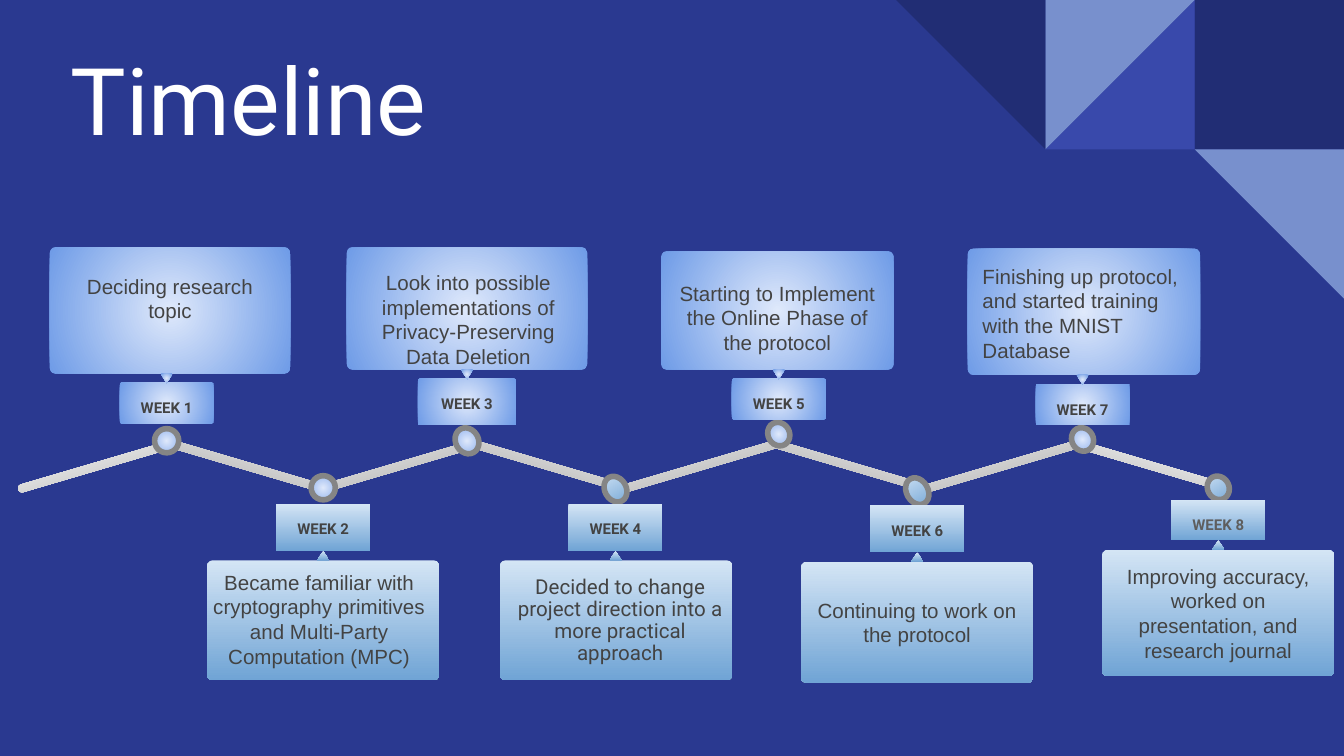
from dataclasses import dataclass

from lxml import etree
from pptx import Presentation
from pptx.dml.color import RGBColor
from pptx.enum.shapes import MSO_SHAPE
from pptx.enum.text import MSO_ANCHOR, PP_ALIGN
from pptx.oxml.ns import qn
from pptx.util import Inches, Pt

RECT, ROUNDED, OVAL = MSO_SHAPE.RECTANGLE, MSO_SHAPE.ROUNDED_RECTANGLE, MSO_SHAPE.OVAL
TRIANGLE, RIGHT_TRIANGLE = MSO_SHAPE.ISOSCELES_TRIANGLE, MSO_SHAPE.RIGHT_TRIANGLE
TOP, MIDDLE, BOTTOM = MSO_ANCHOR.TOP, MSO_ANCHOR.MIDDLE, MSO_ANCHOR.BOTTOM
LEFT, CENTER = PP_ALIGN.LEFT, PP_ALIGN.CENTER

# The slide is a 16:9 grid of square cells, 100 columns by 56.25 rows
COLUMNS, ROWS = 100, 56.25


@dataclass(frozen=True)
class Theme:
    background: str = "2A3990"
    navy: str = "212D74"
    indigo: str = "3949AB"
    periwinkle: str = "7890CD"
    white: str = "FFFFFF"
    ink: str = "434343"
    faded_ink: str = "5E5E5E"
    ring: str = "858585"
    upper: tuple = ("DFE9FB", "6E9BE7")
    lower: tuple = ("D4E5F5", "70A4D5")
    rail: tuple = ("F2F2F2", "A6A6A6")
    rail_end: tuple = ("FFFFFF", "B3B3B3")
    heading_font: str = "Roboto"
    body_font: str = "Arial"
    title_size: float = 50
    body_size: float = 11
    tag_size: float = 8


THEME = Theme()


@dataclass
class Week:
    text: str
    card: tuple
    axis: float
    tag: tuple = (7, 3)
    dot: tuple = (1.6, 1.8)
    dot_gap: float = 0.2
    dot_colors: tuple = THEME.lower
    caption: tuple = None
    text_format: dict = None
    tag_color: str = THEME.ink


# Odd weeks stand above the rail, even weeks hang below it
WEEKS = [
    Week("Deciding research topic", (3.7, 18.4, 17.9, 9.4), 12.4, dot=(1.8, 1.8),
         dot_gap=0.4, text_format={"anchor": TOP, "top_inset": 1.85}),
    Week("Became familiar with cryptography primitives and Multi-Party Computation (MPC)",
         (15.4, 41.7, 17.3, 8.9), 24.05, tag=(7, 3.5), dot=(1.8, 1.8), dot_gap=0.3,
         dot_colors=THEME.upper, caption=(14.4, 41.4, 18.7, 9.4)),
    Week("Look into possible implementations of Privacy-Preserving Data Deletion",
         (25.8, 18.4, 17.9, 9.1), 34.75, tag=(7.3, 3.4), dot=(1.7, 2),
         caption=(25.9, 19.1, 17.9, 9.4)),
    Week("Decided to change project direction into a more practical approach",
         (37.2, 41.7, 17.3, 8.9), 45.8, tag=(7, 3.5), dot=(1.6, 2), dot_gap=0.1,
         caption=(37.5, 41.9, 17.3, 8.8),
         text_format={"font": THEME.heading_font, "line_spacing": 0.9}),
    Week("Starting to Implement the Online Phase of the protocol",
         (49.2, 18.7, 17.3, 8.8), 57.95, text_format={"anchor": BOTTOM}),
    Week("Continuing to work on the protocol", (59.6, 41.8, 17.3, 9), 68.25,
         tag=(7, 3.5), dot=(1.6, 2.1), dot_gap=0, text_format={"anchor": MIDDLE}),
    Week("Finishing up protocol, and started training with the MNIST Database",
         (72, 18.5, 17.3, 9.4), 80.55, text_format={"align": LEFT}),
    Week("Improving accuracy, worked on presentation, and research journal",
         (82, 40.9, 17.3, 9.4), 90.65, dot_gap=0, text_format={"anchor": MIDDLE},
         tag_color=THEME.faded_ink),
]


def cells(*counts):
    return [Inches(count / 10) for count in counts]


def add_text(shape, text, font=THEME.body_font, size=THEME.body_size, color=THEME.ink,
             bold=False, align=CENTER, anchor=TOP, top_inset=1, line_spacing=None,
             space_after=None):
    frame = shape.text_frame
    frame.word_wrap = True
    frame.vertical_anchor = anchor
    frame.margin_left, frame.margin_top, frame.margin_right, frame.margin_bottom = cells(
        1, top_inset, 1, 1)
    paragraph = frame.paragraphs[0]
    paragraph.alignment = align
    if line_spacing:
        paragraph.line_spacing = line_spacing
    if space_after:
        paragraph.space_after = Pt(space_after)
    run = paragraph.add_run()
    run.text = text
    run.font.name, run.font.size, run.font.bold = font, Pt(size), bold
    run.font.color.rgb = RGBColor.from_string(color)


def paint(fill_format, shape, colors, radial):
    """A single colour fills flat, a pair fills as a gradient."""
    if isinstance(colors, str):
        fill_format.solid()
        fill_format.fore_color.rgb = RGBColor.from_string(colors)
        return
    fill_format.gradient()
    fill_format.gradient_angle = 270
    for stop, color in zip(fill_format.gradient_stops, colors):
        stop.color.rgb = RGBColor.from_string(color)
    if radial:
        gradient = shape.element.spPr.find(qn("a:gradFill"))
        gradient.remove(gradient.find(qn("a:lin")))
        circle = etree.SubElement(gradient, qn("a:path"), path="circle")
        etree.SubElement(circle, qn("a:fillToRect"), l="50000", t="50000", r="50000", b="50000")


def add_part(slide, kind, box, colors, rotation=0, corner=None, ring=None):
    part = slide.shapes.add_shape(kind, *cells(*box))
    part.shadow.inherit = False
    part.rotation = rotation
    if corner is not None:
        part.adjustments[0] = corner
    paint(part.fill, part, colors, radial=colors == THEME.upper)
    if ring:
        part.line.color.rgb = RGBColor.from_string(ring)
        part.line.width = Pt(3)
    else:
        part.line.fill.background()
    return part


def draw_corner(slide, box):
    left, top, width, height = box
    tile_width, tile_height = width / 3, height / 2
    tiles = [  # column, row, kind, colour, rotation
        (2, 0, RECT, THEME.navy, 0),
        (1, 0, RIGHT_TRIANGLE, THEME.indigo, 270),
        (1, 0, RIGHT_TRIANGLE, THEME.periwinkle, 90),
        (0, 0, RIGHT_TRIANGLE, THEME.navy, 180),
        (2, 1, RIGHT_TRIANGLE, THEME.periwinkle, 180),
    ]
    for column, row, kind, color, rotation in tiles:
        tile = (left + column * tile_width, top + row * tile_height, tile_width, tile_height)
        add_part(slide, kind, tile, color, rotation)


def draw_title(slide, box, text):
    title = slide.shapes.title
    title.left, title.top, title.width, title.height = cells(*box)
    add_text(title, text, font=THEME.heading_font, size=THEME.title_size,
             color=THEME.white, anchor=BOTTOM)


def draw_rail(slide, box, count=8, length=12.2, tilt=16.4):
    left, top, width, height = box
    step = (width - length) / (count - 1)
    for index in range(count):
        colors = THEME.rail_end if index in (0, count - 1) else THEME.rail
        add_part(slide, ROUNDED, (left + index * step, top, length, height), colors,
                 rotation=tilt if index % 2 else 360 - tilt, corner=0.5)


def draw_week(slide, number, week, box):
    left, top, width, height = box
    above = number % 2 == 1
    colors = THEME.upper if above else THEME.lower
    gap, pointer_width = 0.7, 0.9
    tag_width, tag_height = week.tag
    dot_width, dot_height = week.dot

    # Stack tag, pointer and dot from the card towards the rail
    if above:
        pointer_top = top + height
        tag_top = pointer_top + gap
        dot_top = tag_top + tag_height + week.dot_gap
    else:
        pointer_top = top - gap
        tag_top = pointer_top - tag_height
        dot_top = tag_top - week.dot_gap - dot_height

    # Dot on the rail
    add_part(slide, OVAL, (week.axis - dot_width / 2, dot_top, dot_width, dot_height),
             colors if above else week.dot_colors, rotation=330.2, ring=THEME.ring)
    # Week tag
    tag = add_part(slide, RECT, (week.axis - tag_width / 2, tag_top, tag_width, tag_height), colors)
    add_text(tag, f"WEEK {number}", font=THEME.heading_font, size=THEME.tag_size, bold=True,
             color=week.tag_color, line_spacing=1.15, space_after=16)
    # Card and its pointer
    card = add_part(slide, ROUNDED, box, colors, corner=0.045)
    add_part(slide, TRIANGLE, (week.axis - pointer_width / 2, pointer_top, pointer_width, gap),
             colors, rotation=180 if above else 0)
    # Description, in the card or in a caption laid over it
    holder = slide.shapes.add_textbox(*cells(*week.caption)) if week.caption else card
    add_text(holder, week.text, **(week.text_format or {}))


def main():
    deck = Presentation()
    deck.slide_width, deck.slide_height = cells(COLUMNS, ROWS)
    slide = deck.slides.add_slide(deck.slide_layouts[5])
    paint(slide.background.fill, None, THEME.background, radial=False)

    draw_corner(slide, (COLUMNS * 2 / 3, 0, COLUMNS / 3, COLUMNS * 2 / 9))
    draw_title(slide, (1.3, 2.1, 34.4, 10.4), "Timeline")
    draw_rail(slide, (1.1, 34.4, 90.8, 0.6))
    for number, week in enumerate(WEEKS, start=1):
        draw_week(slide, number, week, week.card)
    deck.save("out.pptx")


if __name__ == "__main__":
    main()
